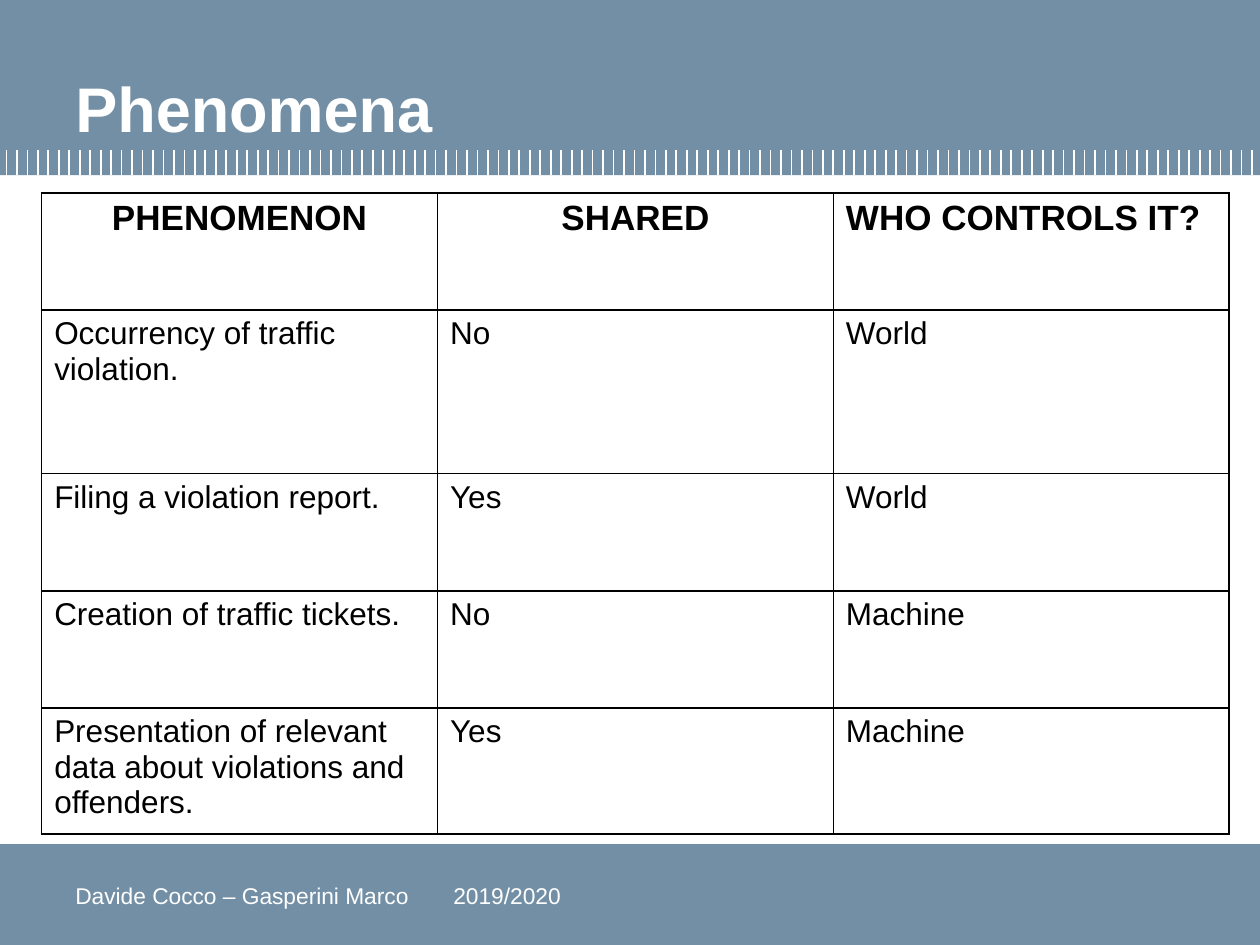
from lxml import etree
from pptx import Presentation
from pptx.dml.color import RGBColor
from pptx.enum import shapes, text
from pptx.oxml.ns import qn
from pptx.util import Cm, Pt

TITLE = "Phenomena"
FOOTER = "Davide Cocco – Gasperini Marco \t2019/2020"
HEADERS = ["PHENOMENON", "SHARED", "WHO CONTROLS IT?"]
PHENOMENA = [
    ("Occurrency of traffic violation.", "No", "World"),
    ("Filing a violation report.", "Yes", "World"),
    ("Creation of traffic tickets.", "No", "Machine"),
    ("Presentation of relevant data about violations and offenders.", "Yes", "Machine"),
]
COLORS = {"band": "728FA5", "white": "FFFFFF", "black": "000000"}
FONT = "Arial"
WIDTH, HEIGHT = 25.4, 19.05
BANDS = [(0, 3.53), (17.02, 2.03)]
TICK_COUNT, FIRST_TICK, LAST_TICK = 120, 0.13, 25.24
TICK_TOP, TICK_BOTTOM = 3.02, 3.53
COLUMN_WIDTH = 7.98
ROW_HEIGHTS = [2.36, 3.3, 2.36, 2.36, 2.36]


def rgb(name):
    return RGBColor.from_string(COLORS[name])


def format_runs(paragraph, size, color, bold=False):
    for run in paragraph.runs:
        run.font.name = FONT
        run.font.size = Pt(size)
        run.font.bold = bold
        run.font.color.rgb = rgb(color)


def set_insets(frame):
    frame.margin_left = frame.margin_right = Cm(0.25)
    frame.margin_top = frame.margin_bottom = Cm(0.25)
    frame.word_wrap = True


def add_bands(slide):
    for top, height in BANDS:
        band = slide.shapes.add_shape(
            shapes.MSO_SHAPE.RECTANGLE, 0, Cm(top), Cm(WIDTH), Cm(height))
        band.shadow.inherit = False
        band.fill.solid()
        band.fill.fore_color.rgb = rgb("band")
        band.line.fill.background()


def add_ticks(slide):
    group = slide.shapes.add_group_shape()
    step = (LAST_TICK - FIRST_TICK) / (TICK_COUNT - 1)
    for index in range(TICK_COUNT):
        x = Cm(FIRST_TICK + index * step)
        tick = group.shapes.add_connector(
            shapes.MSO_CONNECTOR.STRAIGHT, x, Cm(TICK_TOP), x, Cm(TICK_BOTTOM))
        tick.line.color.rgb = rgb("white")
        tick.line.width = Pt(1)
        etree.SubElement(tick._element.spPr, qn("a:effectLst"))


def format_title(slide):
    title = slide.shapes.title
    title.left, title.top, title.width, title.height = Cm(1.27), 0, Cm(22.86), Cm(3.18)
    frame = title.text_frame
    frame.text = TITLE
    set_insets(frame)
    frame.vertical_anchor = text.MSO_ANCHOR.BOTTOM
    frame.auto_size = text.MSO_AUTO_SIZE.NONE
    paragraph = frame.paragraphs[0]
    paragraph.alignment = text.PP_ALIGN.LEFT
    format_runs(paragraph, 36, "white", True)
    slide.shapes._spTree.append(title._element)


def add_footer(slide):
    footer = slide.shapes.add_textbox(0, Cm(17.2), Cm(15.09), Cm(1.6))
    frame = footer.text_frame
    frame.text = FOOTER
    set_insets(frame)
    frame.vertical_anchor = text.MSO_ANCHOR.MIDDLE
    paragraph = frame.paragraphs[0]
    paragraph.line_spacing = 1.15
    properties = paragraph._p.get_or_add_pPr()
    properties.set("marL", "0")
    properties.set("indent", str(Cm(1.27)))
    tabs = etree.SubElement(properties, qn("a:tabLst"))
    etree.SubElement(tabs, qn("a:tab"), pos=str(Cm(10.16)), algn="l")
    format_runs(paragraph, 13, "white")


def set_borders(cell):
    properties = cell._tc.get_or_add_tcPr()
    for index, side in enumerate(("lnL", "lnR", "lnT", "lnB")):
        line = etree.Element(qn(f"a:{side}"), w=str(Pt(1)))
        fill = etree.SubElement(line, qn("a:solidFill"))
        etree.SubElement(fill, qn("a:srgbClr"), val=COLORS["black"])
        properties.insert(index, line)


def add_phenomena_table(slide):
    rows = [HEADERS, *PHENOMENA]
    table = slide.shapes.add_table(
        len(rows), len(HEADERS), Cm(0.84), Cm(3.89),
        Cm(COLUMN_WIDTH * len(HEADERS)), Cm(sum(ROW_HEIGHTS))).table
    table.first_row = table.horz_banding = False
    for column in table.columns:
        column.width = Cm(COLUMN_WIDTH)
    for row_index, values in enumerate(rows):
        table.rows[row_index].height = Cm(ROW_HEIGHTS[row_index])
        is_header = row_index == 0
        for column_index, value in enumerate(values):
            cell = table.cell(row_index, column_index)
            cell.text_frame.text = value
            cell.fill.background()
            set_borders(cell)
            paragraph = cell.text_frame.paragraphs[0]
            centred = is_header and column_index < 2
            paragraph.alignment = text.PP_ALIGN.CENTER if centred else text.PP_ALIGN.LEFT
            format_runs(paragraph, 20 if is_header else 18, "black", is_header)


def main():
    presentation = Presentation()
    presentation.slide_width, presentation.slide_height = Cm(WIDTH), Cm(HEIGHT)
    slide = presentation.slides.add_slide(presentation.slide_layouts[5])
    add_bands(slide)
    add_ticks(slide)
    format_title(slide)
    add_footer(slide)
    add_phenomena_table(slide)
    presentation.save("out.pptx")


if __name__ == "__main__":
    main()
